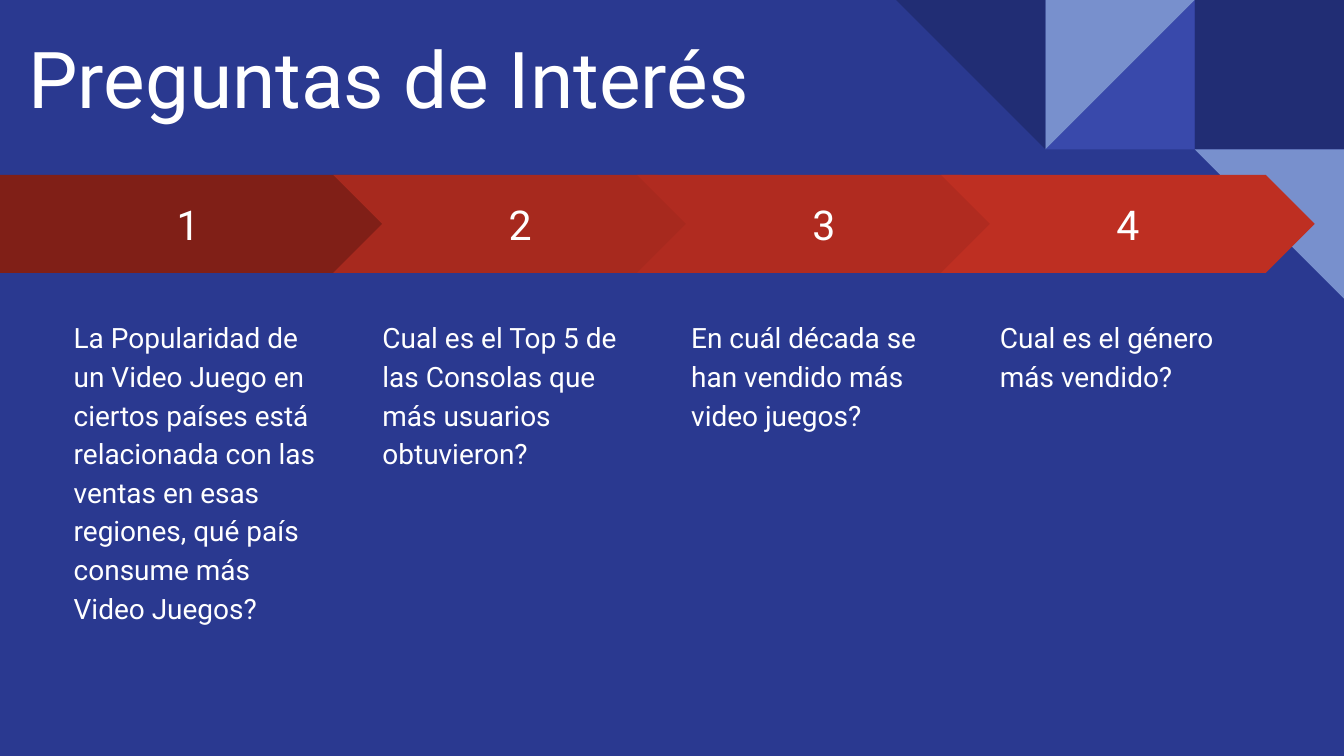
from pptx import Presentation
from pptx.dml.color import RGBColor
from pptx.enum.shapes import MSO_SHAPE
from pptx.enum.text import MSO_ANCHOR, MSO_AUTO_SIZE, PP_ALIGN
from pptx.util import Pt

RECT, TRIANGLE = MSO_SHAPE.RECTANGLE, MSO_SHAPE.RIGHT_TRIANGLE
PENTAGON, CHEVRON = MSO_SHAPE.PENTAGON, MSO_SHAPE.CHEVRON
TOP, MIDDLE = MSO_ANCHOR.TOP, MSO_ANCHOR.MIDDLE
LEFT, CENTER = PP_ALIGN.LEFT, PP_ALIGN.CENTER
NO_FIT = MSO_AUTO_SIZE.NONE

FONT = "Roboto"
WHITE = "FFFFFF"
BACKGROUND = "2A3990"
TITLE = "Preguntas de Interés"

QUESTIONS = [
    ("801F17", "La Popularidad de un Video Juego en ciertos países está "
               "relacionada con las ventas en esas regiones, qué país "
               "consume más Video Juegos?"),
    ("A7291E", "Cual es el Top 5 de las Consolas que más usuarios obtuvieron?"),
    ("B02B20", "En cuál década se han vendido más video juegos?"),
    ("BE2F22", "Cual es el género más vendido?"),
]

TILE = 80
TILES = [
    (2, 0, RECT, 0, "212D74"),
    (1, 0, TRIANGLE, 270, "3949AB"),
    (1, 0, TRIANGLE, 90, "7890CD"),
    (0, 0, TRIANGLE, 180, "212D74"),
    (2, 1, TRIANGLE, 180, "7890CD"),
]
TILES_LEFT = 720 - 3 * TILE

ARROW_TOP, ARROW_HEIGHT = 93.7, 52.5
FIRST_ARROW_WIDTH, ARROW_WIDTH = 214.6, 200.2
SECOND_ARROW_LEFT, ARROW_STEP = 178.5, 162.8
TEXT_LEFT, TEXT_STEP = 32.4, 165.4
TEXT_TOP, TEXT_WIDTH, TEXT_HEIGHT = 162, 149.8, 206


def rgb(value):
    return RGBColor.from_string(value)


def add_filled(s, kind, left, top, width, height, color):
    sp = s.shapes.add_shape(kind, Pt(left), Pt(top), Pt(width), Pt(height))
    sp.shadow.inherit = False
    sp.fill.solid()
    sp.fill.fore_color.rgb = rgb(color)
    sp.line.fill.background()
    return sp


def write(sp, text, size, anchor, align, spacing=1.0):
    tf = sp.text_frame
    tf.text = text
    tf.word_wrap = True
    tf.auto_size = NO_FIT
    tf.vertical_anchor = anchor
    tf.margin_left = tf.margin_right = Pt(7.2)
    tf.margin_top = tf.margin_bottom = Pt(7.2)
    p = tf.paragraphs[0]
    p.alignment = align
    p.line_spacing = spacing
    p.space_before = Pt(0)
    r = p.runs[0]
    r.font.name = FONT
    r.font.size = Pt(size)
    r.font.color.rgb = rgb(WHITE)


prs = Presentation()
prs.slide_width, prs.slide_height = Pt(720), Pt(405)
s = prs.slides.add_slide(prs.slide_layouts[5])
s.background.fill.solid()
s.background.fill.fore_color.rgb = rgb(BACKGROUND)

title = s.shapes.title
title.left, title.top, title.width, title.height = Pt(8), Pt(8), Pt(407.5), Pt(66.2)
write(title, TITLE, 42, MIDDLE, LEFT)

for col, row, kind, rotation, color in TILES:
    tile = add_filled(s, kind, TILES_LEFT + col * TILE, row * TILE, TILE, TILE, color)
    tile.rotation = rotation

for i, (color, question) in enumerate(QUESTIONS):
    if i == 0:
        kind, left, width = PENTAGON, 0, FIRST_ARROW_WIDTH
    else:
        kind, width = CHEVRON, ARROW_WIDTH
        left = SECOND_ARROW_LEFT + (i - 1) * ARROW_STEP
    arrow = add_filled(s, kind, left, ARROW_TOP, width, ARROW_HEIGHT, color)
    write(arrow, str(i + 1), 22, MIDDLE, CENTER)

    box = s.shapes.add_textbox(Pt(TEXT_LEFT + i * TEXT_STEP), Pt(TEXT_TOP),
                               Pt(TEXT_WIDTH), Pt(TEXT_HEIGHT))
    write(box, question, 15, TOP, LEFT, 1.15)

prs.save("out.pptx")
